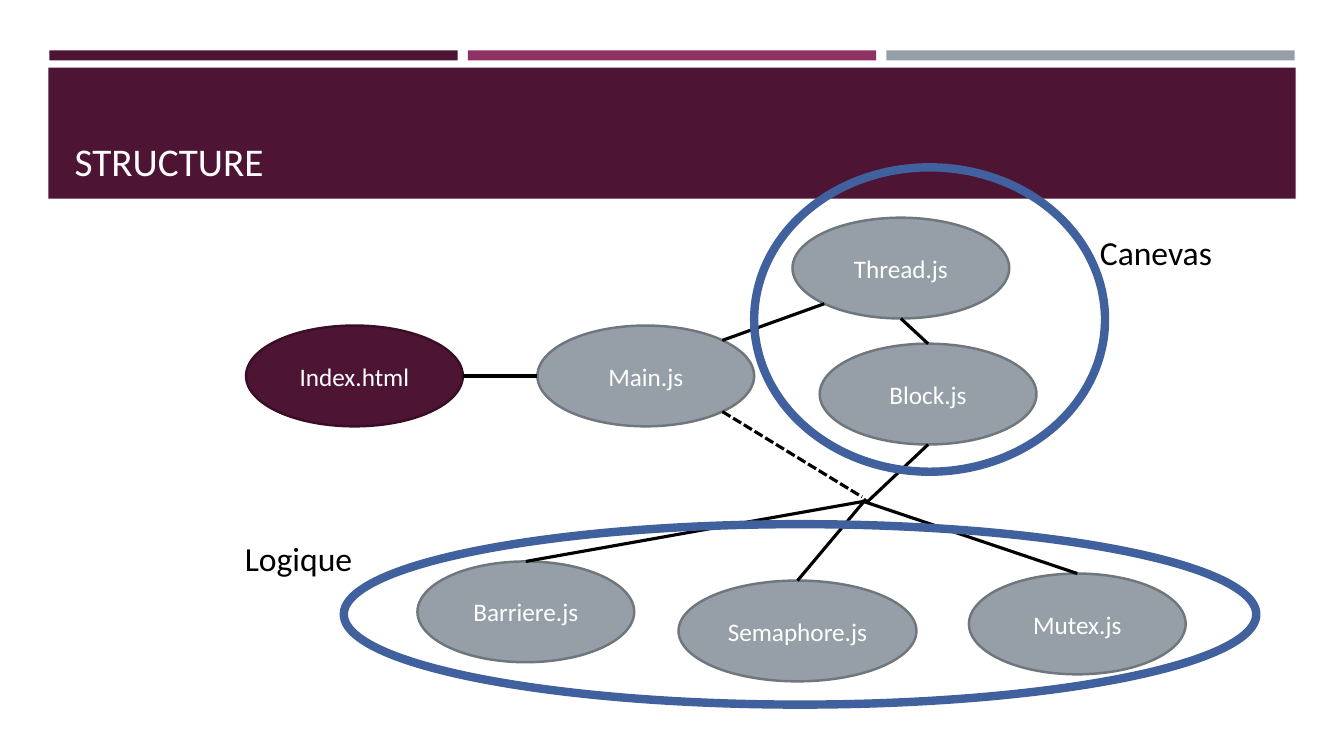
from lxml import etree
from pptx import Presentation
from pptx.dml.color import RGBColor
from pptx.enum.dml import MSO_LINE
from pptx.enum.shapes import MSO_CONNECTOR, MSO_SHAPE
from pptx.enum.text import MSO_ANCHOR, MSO_AUTO_SIZE, PP_ALIGN
from pptx.oxml.ns import qn
from pptx.util import Inches, Pt

RECT, OVAL = MSO_SHAPE.RECTANGLE, MSO_SHAPE.OVAL
LINE, DASH = MSO_CONNECTOR.STRAIGHT, MSO_LINE.SQUARE_DOT
LEFT, MID = PP_ALIGN.LEFT, PP_ALIGN.CENTER
TOP, CENTER, BASE = MSO_ANCHOR.TOP, MSO_ANCHOR.MIDDLE, MSO_ANCHOR.BOTTOM
FIXED = MSO_AUTO_SIZE.NONE
FONT = "Calibri"
PLUM, ROSE, GRAY, BLUE = "4D1434", "903163", "969FA7", "40619D"
WHITE, BLACK = "FFFFFF", "000000"
DIAG = 0.5 ** 0.5 / 2
SIDES = {
    "top": (0.5, 0), "left": (0, 0.5), "low": (0.5, 1), "right": (1, 0.5),
    "high right": (0.5 + DIAG, 0.5 - DIAG),
    "low right": (0.5 + DIAG, 0.5 + DIAG),
    "low left": (0.5 - DIAG, 0.5 + DIAG),
}
NODES = {
    "Index.html": (2.44, 3.23, 2.15, 1),
    "Main.js": (5.33, 3.23, 2.15, 1),
    "Thread.js": (7.86, 2.16, 2.15, 1),
    "Block.js": (8.13, 3.41, 2.15, 1),
    "Mutex.js": (9.61, 5.69, 2.15, 1),
    "Semaphore.js": (6.73, 5.76, 2.36, 1),
    "Barriere.js": (4.14, 5.57, 2.15, 1),
}


def color(code):
    """Turn a hex string into a colour."""
    return RGBColor.from_string(code)


def write(shape, text, size=18, ink=WHITE, align=MID, anchor=CENTER):
    """Set the text of a shape and its format."""
    frame = shape.text_frame
    frame.auto_size = FIXED
    frame.word_wrap = True
    frame.vertical_anchor = anchor
    para = frame.paragraphs[0]
    para.alignment = align
    run = para.add_run()
    run.text = text
    run.font.name = FONT
    run.font.size = Pt(size)
    run.font.color.rgb = color(ink)


def draw(slide, kind, box, fill=None, edge=None, width=1.75):
    """Add a preset shape with an optional fill and outline."""
    shape = slide.shapes.add_shape(kind, *map(Inches, box))
    shape.shadow.inherit = False
    if fill:
        shape.fill.solid()
        shape.fill.fore_color.rgb = color(fill)
    else:
        shape.fill.background()
    if edge:
        shape.line.color.rgb = color(edge)
        shape.line.width = Pt(width)
    else:
        shape.line.fill.background()
    return shape


def site(name, side):
    """Find the point on one side of a node."""
    x, y, w, h = NODES[name]
    across, down = SIDES[side]
    return x + w * across, y + h * down


def link(slide, start, end, dash=None):
    """Join two points with a black line."""
    line = slide.shapes.add_connector(LINE, *map(Inches, start + end))
    line.line.color.rgb = color(BLACK)
    line.line.width = Pt(2.25)
    if dash:
        line.line.dash_style = dash
    etree.SubElement(line.element.spPr, qn("a:effectLst"))


def group(slide, ring, text, box):
    """Circle a set of nodes and name it."""
    draw(slide, OVAL, ring, edge=BLUE, width=6)
    label = slide.shapes.add_textbox(*map(Inches, box))
    write(label, text, size=24, ink=BLACK, align=LEFT, anchor=TOP)


def header(slide):
    """Add the bars, the band and the title."""
    for i, fill in enumerate((PLUM, ROSE, GRAY)):
        draw(slide, RECT, (0.49 + 4.15 * i, 0.5, 4.05, 0.1), fill)
    draw(slide, RECT, (0.48, 0.67, 12.37, 1.3), PLUM)
    title = slide.shapes.title
    title.left, title.top = Inches(0.64), Inches(0.77)
    title.width, title.height = Inches(12.06), Inches(1.11)
    write(title, "STRUCTURE", size=28, align=LEFT, anchor=BASE)
    title.element.getparent().append(title.element)


def main():
    """Build the slide and save it."""
    deck = Presentation()
    deck.slide_width, deck.slide_height = Inches(13.33), Inches(7.5)
    slide = deck.slides.add_slide(deck.slide_layouts[5])
    header(slide)
    for name, box in NODES.items():
        first = name == "Index.html"
        fill, edge = (PLUM, "390F26") if first else (GRAY, "6F767C")
        write(draw(slide, OVAL, box, fill, edge), name)
    for a, out, b, into in (
        ("Index.html", "right", "Main.js", "left"),
        ("Main.js", "high right", "Thread.js", "low left"),
        ("Thread.js", "low", "Block.js", "top"),
    ):
        link(slide, site(a, out), site(b, into))
    for hub, name, side, dash in (
        ((8.59, 4.97), "Barriere.js", "top", None),
        ((8.59, 4.95), "Semaphore.js", "top", None),
        ((8.55, 4.97), "Mutex.js", "top", None),
        ((8.55, 4.93), "Main.js", "low right", DASH),
        ((8.59, 4.99), "Block.js", "low", None),
    ):
        link(slide, site(name, side), hub, dash)
    group(slide, (7.48, 1.66, 3.48, 3.02), "Canevas", (10.81, 2.25, 1.38, 0.5))
    group(slide, (3.41, 5.2, 9.05, 1.79), "Logique", (2.33, 5.29, 1.98, 0.5))
    deck.save("out.pptx")


main()
